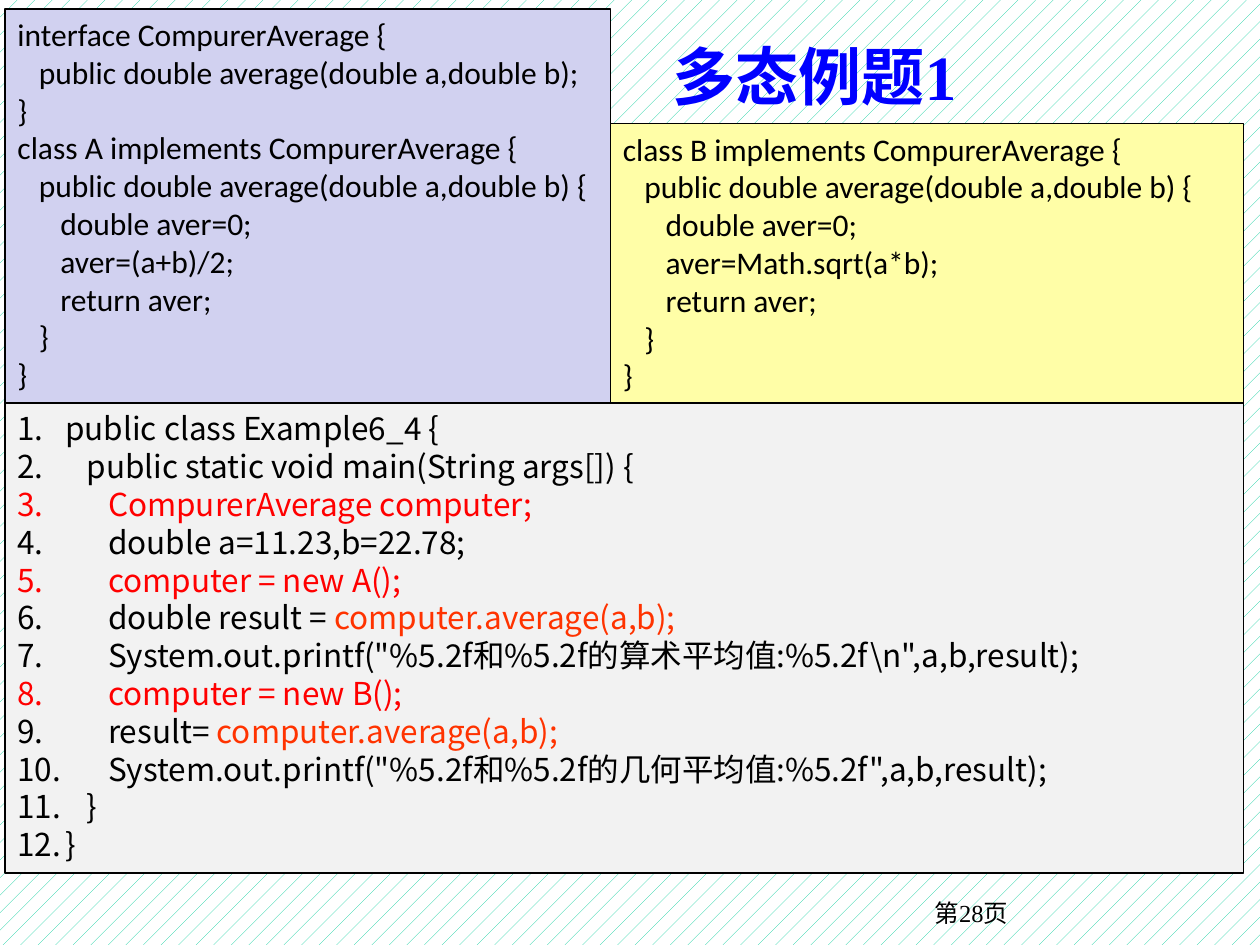
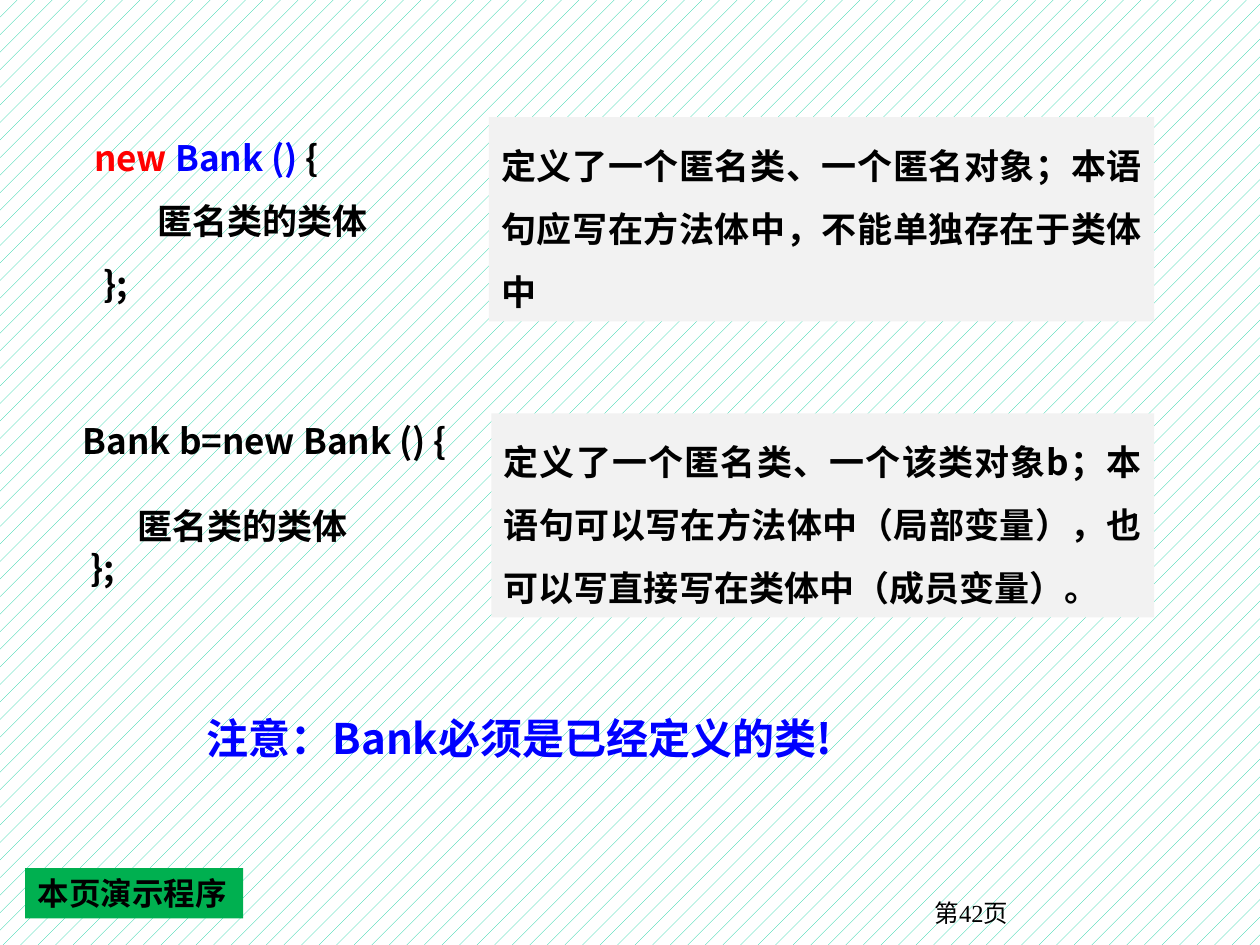
from lxml.etree import SubElement
from pptx import Presentation
from pptx.dml.color import RGBColor
from pptx.enum.dml import MSO_PATTERN_TYPE as Pattern
from pptx.enum.shapes import MSO_SHAPE as Shape
from pptx.enum.text import MSO_ANCHOR as Anchor, MSO_AUTO_SIZE as AutoSize, PP_ALIGN as Align
from pptx.oxml.ns import qn
from pptx.util import Emu, Inches, Pt

COLORS = {
    "black": "000000", "white": "FFFFFF", "blue": "0000FF", "red": "FF0000",
    "orange": "FF3300", "teal": "00CC99", "lilac": "D1D1F0",
    "yellow": "FFFEA7", "gray": "F2F2F2", "green": "00B050",
}
SANS, SERIF, CODE = "Noto Sans CJK SC", "Times New Roman", "Calibri"
STEP = 0.17  # inches per level of code indent
NUMBER_WIDTH = 0.38  # room for the line numbers

# Each code line is (indent level, parts); a part is text or (text, colour)
INTERFACE_AND_A = [
    (0, ["interface CompurerAverage {"]),
    (1, ["public double average(double a,double b);"]),
    (0, ["}"]),
    (0, ["class A implements CompurerAverage {"]),
    (1, ["public double average(double a,double b) {"]),
    (2, ["double aver=0;"]),
    (2, ["aver=(a+b)/2;"]),
    (2, ["return aver;"]),
    (1, ["}"]),
    (0, ["}"]),
]
CLASS_B = [
    (0, ["class B implements CompurerAverage {"]),
    (1, ["public double average(double a,double b) {"]),
    (2, ["double aver=0;"]),
    (2, ["aver=Math.sqrt(a*b);"]),
    (2, ["return aver;"]),
    (1, ["}"]),
    (0, ["}"]),
]
CALL = ("computer.average(a,b);", "orange")
MAIN_PROGRAM = [
    (0, ["public class Example6_4 {"]),
    (1, ["public static void main(String args[]) {"]),
    (2, [("CompurerAverage computer;", "red")]),
    (2, ["double a=11.23,b=22.78;"]),
    (2, [("computer = new A();", "red")]),
    (2, ["double result = ", CALL]),
    (2, ['System.out.printf("%5.2f和%5.2f的算术平均值:%5.2f\\n",a,b,result);']),
    (2, [("computer = new B();", "red")]),
    (2, ["result= ", CALL]),
    (2, ['System.out.printf("%5.2f和%5.2f的几何平均值:%5.2f",a,b,result);']),
    (1, ["}"]),
    (0, ["}"]),
]


def rgb(name):
    return RGBColor.from_string(COLORS[name])


def style(paragraph, font, size, color="black", bold=False, align=Align.LEFT, spacing=None):
    paragraph.alignment = align
    if spacing:
        paragraph.line_spacing = Pt(spacing)
    paragraph.font.size = Pt(size)
    paragraph.font.bold = bold
    paragraph.font.color.rgb = rgb(color)
    paragraph.font.name = font
    # Chinese characters use the sans face everywhere
    defaults = paragraph._p.pPr.find(qn("a:defRPr"))
    SubElement(defaults, qn("a:ea")).set("typeface", SANS)


def indent(paragraph, left, first=0.0):
    properties = paragraph._p.get_or_add_pPr()
    properties.set("marL", str(Inches(left)))
    properties.set("indent", str(Inches(first)))


def number(paragraph):
    defaults = paragraph._p.pPr.find(qn("a:defRPr"))
    bullet = defaults.makeelement(qn("a:buAutoNum"), {"type": "arabicPeriod"})
    defaults.addprevious(bullet)


def add_parts(paragraph, parts):
    for part in parts:
        text, color = (part, None) if isinstance(part, str) else part
        run = paragraph.add_run()
        run.text = text
        if color:
            run.font.color.rgb = rgb(color)


def paragraphs_for(frame, lines):
    """Yield one paragraph of the frame for each line."""
    for index, line in enumerate(lines):
        yield (frame.add_paragraph() if index else frame.paragraphs[0]), line


def add_box(slide, at, fill=None, line=None, anchor=Anchor.TOP):
    place = [Inches(length) for length in at]
    if fill:
        shape = slide.shapes.add_shape(Shape.RECTANGLE, *place)
        shape.shadow.inherit = False
        shape.fill.solid()
        shape.fill.fore_color.rgb = rgb(fill)
        if line:
            shape.line.color.rgb = rgb(line)
            shape.line.width = Pt(1)
        else:
            shape.line.fill.background()
    else:
        shape = slide.shapes.add_textbox(*place)
    frame = shape.text_frame
    frame.word_wrap = True
    frame.vertical_anchor = anchor
    return frame


def add_code(slide, at, fill, lines, font=CODE, numbered=False, spacing=None):
    frame = add_box(slide, at, fill, "black")
    for paragraph, (level, parts) in paragraphs_for(frame, lines):
        add_parts(paragraph, parts)
        style(paragraph, font, 18, spacing=spacing)
        left = level * STEP
        if numbered:
            left += NUMBER_WIDTH
            number(paragraph)
        indent(paragraph, left, -left if numbered else 0)


def add_snippet(slide, at, lines, spacing):
    """Lines are (indent in inches, space before in points, parts)."""
    frame = add_box(slide, at)
    for paragraph, (left, before, parts) in paragraphs_for(frame, lines):
        add_parts(paragraph, parts)
        style(paragraph, SANS, 20, bold=True, align=Align.JUSTIFY, spacing=spacing)
        indent(paragraph, left)
        paragraph.space_before = Pt(before)


def add_note(slide, at, text):
    paragraph = add_box(slide, at, "gray").paragraphs[0]
    add_parts(paragraph, [text])
    style(paragraph, SANS, 20, bold=True, align=Align.JUSTIFY, spacing=36)


def add_slide(presentation, page, title, at, font, size, align):
    """Patterned background, title and page number of every slide."""
    slide = presentation.slides.add_slide(presentation.slide_layouts[5])
    fill = slide.background.fill
    fill.patterned()
    fill.pattern = Pattern.PERCENT_5
    fill.fore_color.rgb = rgb("teal")
    fill.back_color.rgb = rgb("white")

    shape = slide.shapes.title
    shape.left, shape.top, shape.width, shape.height = [Inches(length) for length in at]
    frame = shape.text_frame
    frame.auto_size = AutoSize.NONE
    frame.vertical_anchor = Anchor.MIDDLE
    add_parts(frame.paragraphs[0], [title])
    style(frame.paragraphs[0], font, size, "blue", True, align)

    footer = add_box(slide, (6.02, 7.08, 2.08, 0.37)).paragraphs[0]
    add_parts(footer, [f"第{page}页"])
    style(footer, SERIF, 14, align=Align.RIGHT)
    return slide


def build_polymorphism(presentation):
    slide = add_slide(presentation, 28, "多态例题1", (5.24, 0.22, 2.99, 0.75),
                      SERIF, 36, Align.JUSTIFY)
    left, middle, right = 0.04, 4.845, 9.87
    split, bottom = 3.2, 6.93
    add_code(slide, (left, 0.07, middle - left, split - 0.07), "lilac", INTERFACE_AND_A)
    add_code(slide, (middle, 0.98, right - middle, split - 0.98), "yellow", CLASS_B)
    add_code(slide, (left, split, right - left, bottom - split), "gray", MAIN_PROGRAM,
             SANS, numbered=True, spacing=21.6)


def build_anonymous_class(presentation):
    slide = add_slide(presentation, 42, "注意：Bank必须是已经定义的类!",
                      (1.54, 5.48, 6.3, 0.75), SANS, 24, Align.LEFT)
    body = "匿名类的类体"

    # Anonymous object
    add_note(slide, (3.88, 0.93, 5.28, 1.62),
             "定义了一个匿名类、一个匿名对象；本语句应写在方法体中，不能单独存在于类体中")
    add_snippet(slide, (0.65, 0.87, 5, 1.62), [
        (0, 0, [("new ", "red"), ("Bank () ", "blue"), "{"]),
        (0.5, 0, [body]),
        (0.07, 0, ["};"]),
    ], 36)

    # Named object
    add_snippet(slide, (0.49, 3.28, 3.54, 1.11), [
        (0.07, 0, ["Bank b=new Bank () {"]),
        (0.5, 24, [body]),
        (0.13, 0, ["};"]),
    ], 24.2)
    add_note(slide, (3.9, 3.28, 5.26, 1.62),
             "定义了一个匿名类、一个该类对象b；本语句可以写在方法体中（局部变量），"
             "也可以写直接写在类体中（成员变量）。")

    # Demo label
    frame = add_box(slide, (0.2, 6.89, 1.73, 0.4), "green", anchor=Anchor.MIDDLE)
    frame.word_wrap = False
    frame.margin_top = frame.margin_bottom = Emu(0)
    add_parts(frame.paragraphs[0], ["本页演示程序"])
    style(frame.paragraphs[0], SANS, 18, bold=True)


def main():
    presentation = Presentation()
    presentation.slide_width, presentation.slide_height = Inches(10), Inches(7.5)
    build_polymorphism(presentation)
    build_anonymous_class(presentation)
    presentation.save("out.pptx")


main()
